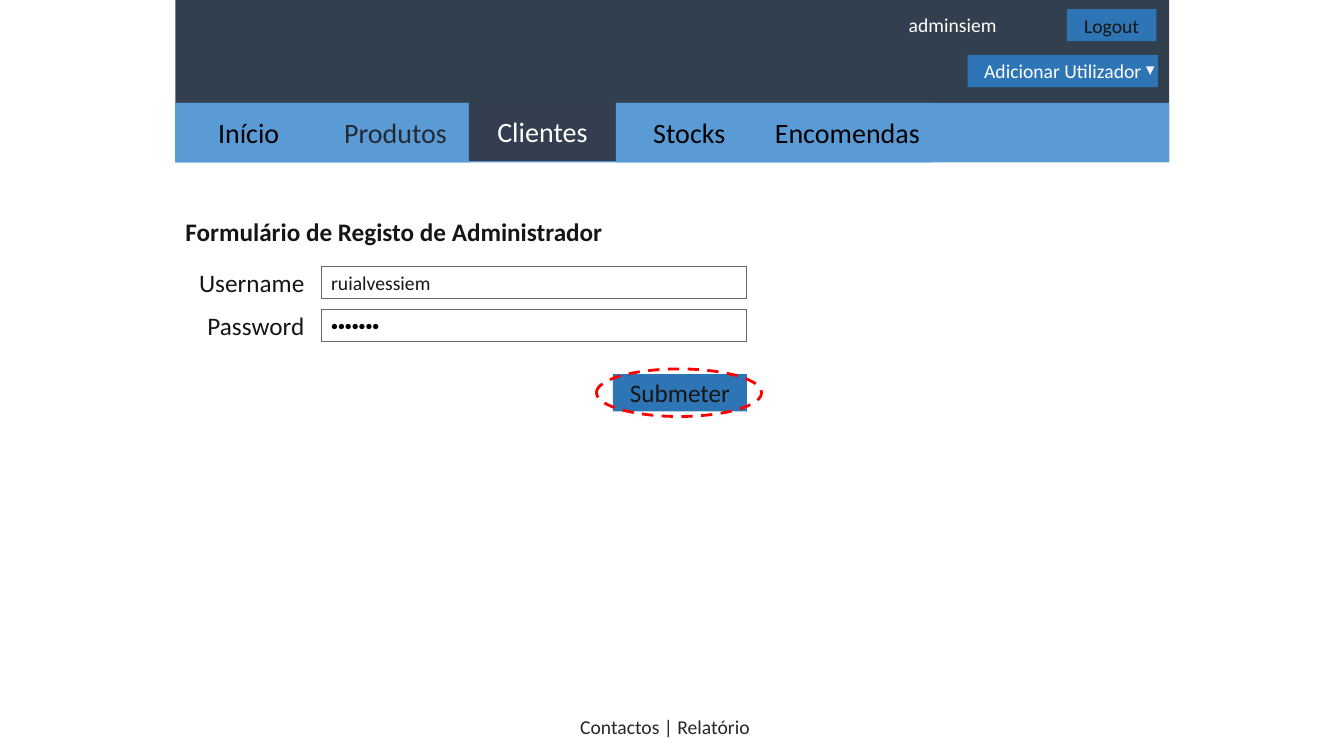
from pptx import Presentation
from pptx.dml.color import RGBColor
from pptx.enum.dml import MSO_LINE
from pptx.enum.shapes import MSO_SHAPE
from pptx.enum.text import MSO_ANCHOR, MSO_AUTO_SIZE, PP_ALIGN
from pptx.util import Pt

RECT, OVAL, TRIANGLE = MSO_SHAPE.RECTANGLE, MSO_SHAPE.OVAL, MSO_SHAPE.ISOSCELES_TRIANGLE
LEFT, CENTER, RIGHT = PP_ALIGN.LEFT, PP_ALIGN.CENTER, PP_ALIGN.RIGHT
MIDDLE, TOP = MSO_ANCHOR.MIDDLE, MSO_ANCHOR.TOP
NO_AUTOFIT, DASH = MSO_AUTO_SIZE.NONE, MSO_LINE.DASH

NAVY, SKY, BLUE = "323F4F", "5B9BD5", "2E75B5"
INK, BLACK, WHITE = "171616", "000000", "FFFFFF"
PAGE_LEFT, PAGE_WIDTH = 125.2, 710
TAB_TOP, TAB_WIDTH, TAB_HEIGHT = 73.6, 104.9, 42.4
FIELD_HEIGHT = 23


def rgb(color):
    """Turn a hex string into a colour."""
    return RGBColor.from_string(color)


def write(s, text, size, color, align=CENTER, font="Calibri", bold=False, anchor=MIDDLE):
    """Put one formatted line of text in a shape."""
    tf = s.text_frame
    tf.word_wrap = True
    tf.auto_size = NO_AUTOFIT
    tf.vertical_anchor = anchor
    tf.margin_left = tf.margin_right = Pt(7.2)
    tf.margin_top = tf.margin_bottom = Pt(3.6)
    p = tf.paragraphs[0]
    p.alignment = align
    r = p.add_run()
    r.text = text
    r.font.name = font
    r.font.size = Pt(size)
    r.font.bold = bold
    r.font.color.rgb = rgb(color)


def add_shape(sp, kind, x, y, w, h, fill=None, line=None, weight=0.75):
    """Add a flat shape with an optional fill and outline."""
    s = sp.add_shape(kind, Pt(x), Pt(y), Pt(w), Pt(h))
    s.shadow.inherit = False
    if fill:
        s.fill.solid()
        s.fill.fore_color.rgb = rgb(fill)
    else:
        s.fill.background()
    if line:
        s.line.color.rgb = rgb(line)
        s.line.width = Pt(weight)
    else:
        s.line.fill.background()
    return s


def add_label(sp, x, y, w, text, size, color, align, anchor=MIDDLE):
    """Add a one-line text box."""
    s = sp.add_textbox(Pt(x), Pt(y), Pt(w), Pt(FIELD_HEIGHT))
    write(s, text, size, color, align, anchor=anchor)


def add_button(sp, x, y, w, h, text, size, color, fill=BLUE):
    """Add a filled rectangle with centred text."""
    write(add_shape(sp, RECT, x, y, w, h, fill), text, size, color)


def add_heading(slide, text):
    """Place the form heading in the title placeholder."""
    s = slide.shapes.title
    s.left, s.top, s.width, s.height = Pt(PAGE_LEFT), Pt(153.5), Pt(322.5), Pt(FIELD_HEIGHT)
    write(s, text, 18, INK, LEFT, bold=True)


def add_tabs(sp):
    """Add the row of navigation tabs."""
    tabs = [
        ("Início", BLACK, SKY, TAB_WIDTH),
        ("Produtos", "222A35", SKY, TAB_WIDTH),
        ("Clientes", WHITE, "333F50", TAB_WIDTH),
        ("Stocks", BLACK, SKY, TAB_WIDTH),
        ("Encomendas", BLACK, SKY, 121),
    ]
    for i, (text, color, fill, width) in enumerate(tabs):
        top = TAB_TOP if fill == SKY else TAB_TOP - 0.8
        add_button(sp, PAGE_LEFT + i * TAB_WIDTH, top, width, TAB_HEIGHT, text, 20, color, fill)


def add_field(sp, y, label, value, font, color):
    """Add a form label and its outlined input box."""
    add_label(sp, 80, y, 144.5, label, 18, INK, RIGHT)
    box = add_shape(sp, RECT, 229.5, y, 304, FIELD_HEIGHT, line="666666")
    write(box, value, 14, color, LEFT, font)


def main():
    """Build the administrator registration slide."""
    prs = Presentation()
    prs.slide_width, prs.slide_height = Pt(960), Pt(540)
    slide = prs.slides.add_slide(prs.slide_layouts[5])
    sp = slide.shapes

    add_shape(sp, RECT, PAGE_LEFT, 0, PAGE_WIDTH, 115.2, NAVY)
    add_shape(sp, RECT, PAGE_LEFT, TAB_TOP, PAGE_WIDTH, TAB_HEIGHT, SKY)
    add_tabs(sp)

    add_label(sp, 574.5, 6, 144.5, "adminsiem", 14, WHITE, RIGHT)
    add_button(sp, 762, 6.5, 64, FIELD_HEIGHT, "Logout", 14, INK)
    add_button(sp, 691.2, 39.3, 136, FIELD_HEIGHT, "Adicionar Utilizador", 14, WHITE)
    arrow = add_shape(sp, TRIANGLE, 818.5, 47.5, 6, 6, "F2F2F2")
    arrow.rotation = 180

    add_heading(slide, "Formulário de Registo de Administrador")
    add_field(sp, 190.5, "Username", "ruialvessiem", "Calibri", INK)
    add_field(sp, 221, "Password", "•••••••", "Arial", BLACK)
    add_button(sp, 437.8, 267.3, 95.8, 26.5, "Submeter", 18, INK)
    ring = add_shape(sp, OVAL, 426, 263.5, 118, 34, line="FF0000", weight=2)
    ring.line.dash_style = DASH

    add_label(sp, 386, 507, 178, "Contactos | Relatório", 14, "262626", CENTER, TOP)
    prs.save("out.pptx")


if __name__ == "__main__":
    main()
